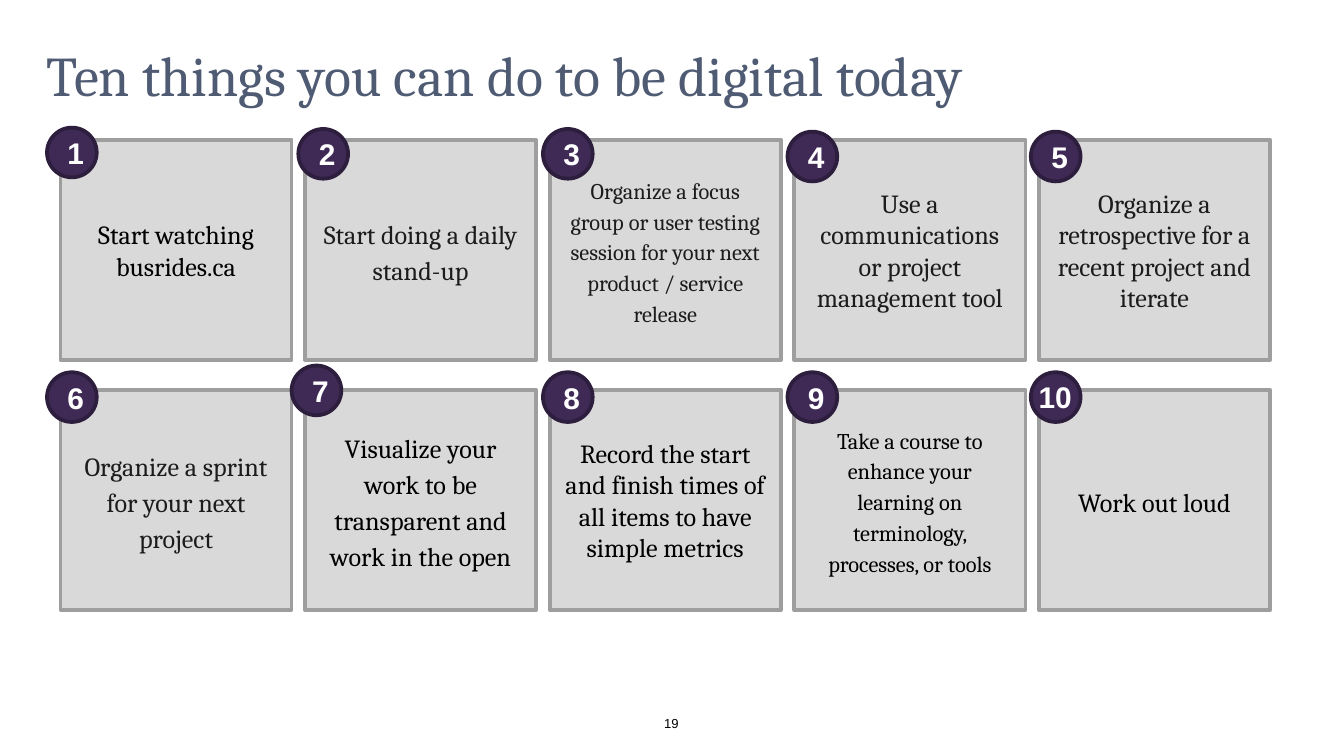
from collections import namedtuple

from pptx import Presentation
from pptx.dml.color import RGBColor
from pptx.enum.shapes import MSO_SHAPE
from pptx.enum.text import MSO_ANCHOR, PP_ALIGN
from pptx.util import Inches, Pt

Box = namedtuple("Box", "left top width height")
Action = namedtuple("Action", "label size color spacing badge_dx badge_dy")

SLIDE_WIDTH = 10
SLIDE_HEIGHT = SLIDE_WIDTH * 9 / 16
COLUMNS = 5
GRID = Box(0.45, 1.04, 9, 3.5)
COLUMN_GAP, ROW_GAP = 0.1, 0.22
BADGE_SIZE = 0.37
BLACK, CHARCOAL = "000000", "1D1C1D"

ACTIONS = [
    Action("Start watching busrides.ca", 14, BLACK, 1, -0.1, -0.09),
    Action("Start doing a daily stand-up", 14, CHARCOAL, 1.15, -0.05, -0.08),
    Action("Organize a focus group or user testing session for your next product / service release",
           12, CHARCOAL, 1.15, -0.05, -0.08),
    Action("Use a communications or project management tool", 14, CHARCOAL, 1, -0.05, -0.06),
    Action("Organize a retrospective for a recent project and iterate", 14, CHARCOAL, 1, -0.06, -0.06),
    Action("Organize a sprint for your next project", 14, CHARCOAL, 1.15, -0.1, -0.13),
    Action("Visualize your work to be transparent and work in the open", 14, BLACK, 1.15, -0.1, -0.18),
    Action("Record the start and finish times of all items to have simple metrics",
           14, BLACK, 1, -0.05, -0.13),
    Action("Take a course to enhance your learning on terminology, processes, or tools",
           12, BLACK, 1.15, -0.05, -0.13),
    Action("Work out loud", 14, BLACK, 1.15, -0.06, -0.13),
]


def rgb(value):
    return RGBColor.from_string(value)


def emu(box):
    return [Inches(length) for length in box]


def write(shape, text, size, color, font="Cambria", bold=False, align=PP_ALIGN.CENTER,
          anchor=MSO_ANCHOR.MIDDLE, spacing=1, inset=(0.1, 0.05)):
    frame = shape.text_frame
    frame.text = text
    frame.word_wrap = True
    frame.vertical_anchor = anchor
    frame.margin_left = frame.margin_right = Inches(inset[0])
    frame.margin_top = frame.margin_bottom = Inches(inset[1])
    paragraph = frame.paragraphs[0]
    paragraph.alignment = align
    paragraph.line_spacing = spacing
    for run in paragraph.runs:
        run.font.name = font
        run.font.size = Pt(size)
        run.font.bold = bold
        run.font.color.rgb = rgb(color)


def add_panel(slide, preset, box, fill, outline):
    panel = slide.shapes.add_shape(preset, *emu(box))
    panel.shadow.inherit = False
    panel.fill.solid()
    panel.fill.fore_color.rgb = rgb(fill)
    panel.line.color.rgb = rgb(outline)
    panel.line.width = Pt(2)
    return panel


def add_title(slide, box):
    title = slide.shapes.add_textbox(*emu(box))
    write(title, "Ten things you can do to be digital today", 30, "4E5B73",
          align=PP_ALIGN.LEFT, anchor=MSO_ANCHOR.BOTTOM, spacing=0.9, inset=(0, 0))


def add_page_number(slide, box):
    page_number = slide.shapes.add_textbox(*emu(box))
    write(page_number, "19", 7, BLACK, font="Arial", inset=(0, 0))


def add_badge(slide, box, number):
    badge = add_panel(slide, MSO_SHAPE.OVAL, box, "3F2A56", "2D1E3E")
    if number < 10:
        write(badge, str(number), 16, "FFFFFF", font="Arial", bold=True)
    else:
        wide = box._replace(left=box.left - 0.04, width=0.54)
        numeral = slide.shapes.add_textbox(*emu(wide))
        write(numeral, str(number), 16, "FFFFFF", font="Arial", bold=True,
              align=PP_ALIGN.LEFT, anchor=MSO_ANCHOR.TOP)


def add_action_grid(slide, box):
    rows = len(ACTIONS) // COLUMNS
    width = (box.width - (COLUMNS - 1) * COLUMN_GAP) / COLUMNS
    height = (box.height - (rows - 1) * ROW_GAP) / rows
    cells = [Box(box.left + column * (width + COLUMN_GAP),
                 box.top + row * (height + ROW_GAP), width, height)
             for row in range(rows) for column in range(COLUMNS)]
    for cell, action in zip(cells, ACTIONS):
        card = add_panel(slide, MSO_SHAPE.RECTANGLE, cell, "D9D9D9", "9E9E9E")
        write(card, action.label, action.size, action.color, spacing=action.spacing)
    for number, (cell, action) in enumerate(zip(cells, ACTIONS), start=1):
        add_badge(slide, Box(cell.left + action.badge_dx, cell.top + action.badge_dy,
                             BADGE_SIZE, BADGE_SIZE), number)


def main():
    deck = Presentation()
    deck.slide_width = Inches(SLIDE_WIDTH)
    deck.slide_height = Inches(SLIDE_HEIGHT)
    slide = deck.slides.add_slide(deck.slide_layouts[6])
    add_title(slide, Box(0.35, 0.17, 9.3, 0.64))
    add_page_number(slide, Box(4.83, 5.3, 0.33, 0.16))
    add_action_grid(slide, GRID)
    deck.save("out.pptx")


if __name__ == "__main__":
    main()
